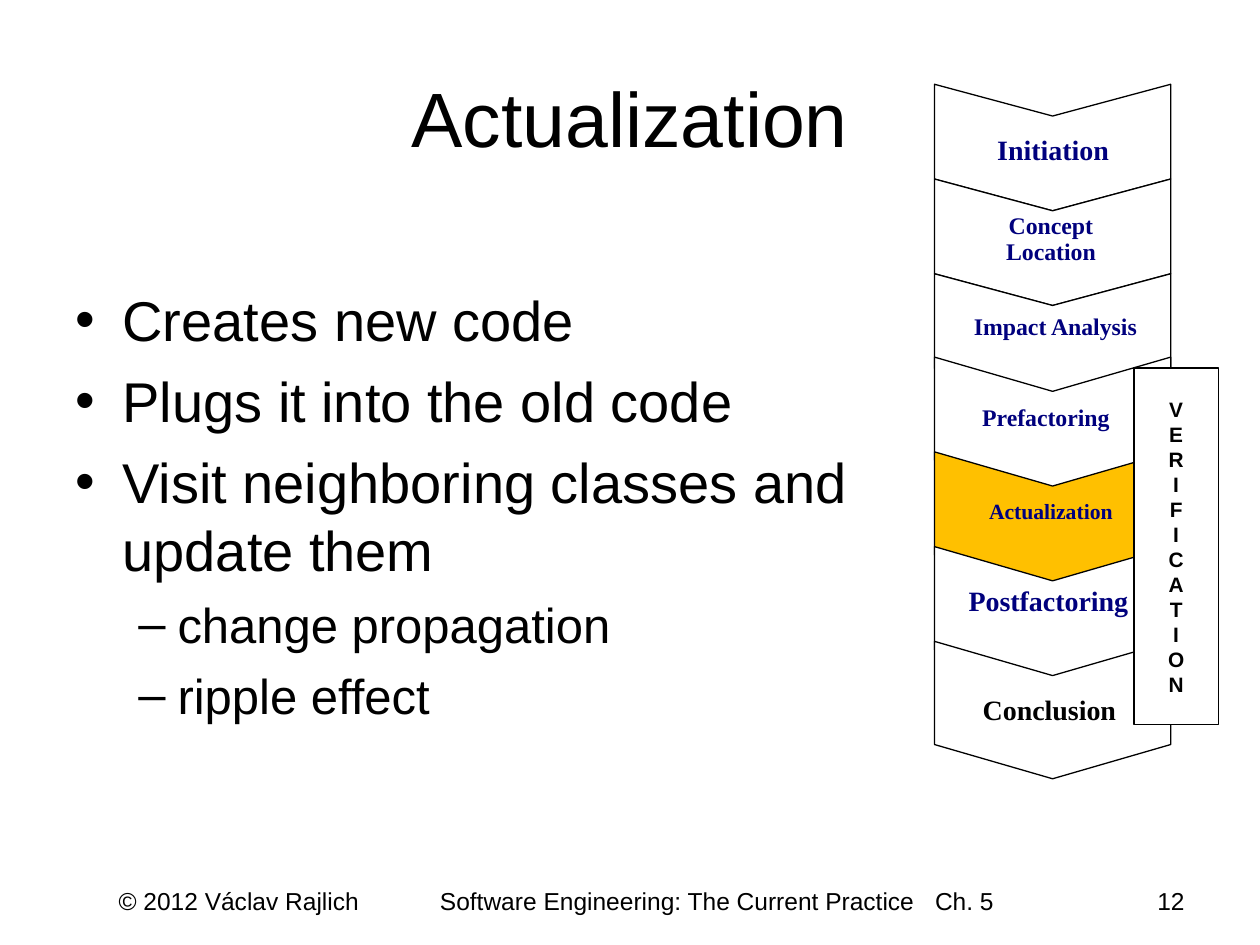
from dataclasses import dataclass

from lxml.etree import SubElement
from pptx import Presentation
from pptx.dml.color import RGBColor
from pptx.enum.shapes import MSO_SHAPE
from pptx.enum.text import MSO_ANCHOR, PP_ALIGN
from pptx.oxml.ns import qn
from pptx.util import Cm, Pt


@dataclass(frozen=True)
class Theme:
    black: RGBColor = RGBColor(0, 0, 0)
    white: RGBColor = RGBColor(255, 255, 255)
    navy: RGBColor = RGBColor(0, 0, 0x7D)
    amber: RGBColor = RGBColor(0xFF, 0xC0, 0)
    sans: str = "Arial"
    serif: str = "Times New Roman"
    title: float = 44
    body: float = 32
    detail: float = 28
    footer: float = 14
    phase_large: float = 16
    phase: float = 13.6
    phase_small: float = 12.4
    verification: float = 11.9
    outline: float = 0.75


theme = Theme()


def add_box(left, top, width, height):
    box = page.shapes.add_textbox(Cm(left), Cm(top), Cm(width), Cm(height))
    box.text_frame.word_wrap = True
    return box


def style(para, size, align=PP_ALIGN.LEFT, color=theme.black, font=theme.sans, bold=False):
    para.alignment = align
    for span in para.runs:
        span.font.size = Pt(size)
        span.font.name = font
        span.font.bold = bold
        span.font.color.rgb = color


deck = Presentation()
deck.slide_width = Cm(25.4)
deck.slide_height = Cm(19.05)
page = deck.slides.add_slide(deck.slide_layouts[6])

title = add_box(1.27, 0.76, 22.86, 3.18)
title.text_frame.vertical_anchor = MSO_ANCHOR.MIDDLE
title.text_frame.text = "Actualization"
style(title.text_frame.paragraphs[0], theme.title, PP_ALIGN.CENTER)

points = [
    ("Creates new code", 0),
    ("Plugs it into the old code", 0),
    ("Visit neighboring classes and update them", 0),
    ("change propagation", 1),
    ("ripple effect", 1),
]
levels = [
    ("•", 0.95, 0.95, 8, theme.body),
    ("–", 2.06, 0.79, 7, theme.detail),
]
body = add_box(1.27, 5.63, 17.78, 10.8)
body.text_frame.text = "\n".join(text for text, level in points)
for index, (para, (text, level)) in enumerate(zip(body.text_frame.paragraphs, points)):
    mark, margin, hanging, gap, size = levels[level]
    properties = para._p.get_or_add_pPr()
    properties.set("marL", str(Cm(margin)))
    properties.set("indent", str(-Cm(hanging)))
    SubElement(properties, qn("a:buFont"), typeface=theme.sans)
    SubElement(properties, qn("a:buChar"), char=mark)
    para.level = level
    para.space_before = Pt(gap if index else 0)
    style(para, size)

footer = add_box(1.27, 17.73, 19.89, 1.32)
footer.text_frame.margin_left = Cm(1.12)
footer.text_frame.text = "© 2012 Václav Rajlich\tSoftware Engineering: The Current Practice\tCh. 5"
credit = footer.text_frame.paragraphs[0]
tabs = SubElement(credit._p.get_or_add_pPr(), qn("a:tabLst"))
for stop in (6.48, 16.46):
    SubElement(tabs, qn("a:tab"), pos=str(Cm(stop)), algn="l")
style(credit, theme.footer)

number = add_box(18.21, 17.73, 5.92, 1.32)
number.text_frame.text = "12"
style(number.text_frame.paragraphs[0], theme.footer, PP_ALIGN.RIGHT)

left, middle, right = 18.84, 21.22, 23.6
pitch = 1.91
chevrons = [(1.7 + pitch * step, 1.91, 0.64, theme.white) for step in range(3)]
chevrons += [
    (7.2 + pitch * step, 2.08, 0.69, theme.amber if step == 1 else theme.white)
    for step in range(4)
]
for top, side, notch, fill in chevrons:
    outline = [
        (right, top), (right, top + side), (middle, top + side + notch),
        (left, top + side), (left, top), (middle, top + notch),
    ]
    corners = [(Cm(x), Cm(y)) for x, y in outline]
    builder = page.shapes.build_freeform(*corners[0])
    builder.add_line_segments(corners[1:], close=True)
    chevron = builder.convert_to_shape()
    chevron.shadow.inherit = False
    chevron.fill.solid()
    chevron.fill.fore_color.rgb = fill
    chevron.line.color.rgb = theme.black
    chevron.line.width = Pt(theme.outline)

phases = [
    ("Initiation", 19.48, 2.54, 3.5, 0.94, theme.phase_large, 1, theme.navy),
    ("Concept Location", 19.23, 4.19, 3.91, 1.47, theme.phase, 0.9, theme.navy),
    ("Impact Analysis", 19.05, 6.22, 4.45, 0.86, theme.phase, 0.9, theme.navy),
    ("Prefactoring", 19.13, 8.05, 3.91, 0.86, theme.phase, 0.9, theme.navy),
    ("Actualization", 19.23, 10.01, 3.91, 0.79, theme.phase_small, 0.8, theme.navy),
    ("Postfactoring", 18.85, 11.63, 4.57, 1.63, theme.phase_large, 1, theme.navy),
    ("Conclusion", 19.2, 13.84, 3.91, 0.94, theme.phase_large, 1, theme.black),
]
for name, x, y, width, height, size, spacing, color in phases:
    label = add_box(x, y, width, height)
    label.text_frame.text = name
    para = label.text_frame.paragraphs[0]
    para.line_spacing = spacing
    style(para, size, PP_ALIGN.CENTER, color, theme.serif, True)

verification = page.shapes.add_shape(
    MSO_SHAPE.RECTANGLE, Cm(22.86), Cm(7.42), Cm(1.7), Cm(7.19)
)
verification.shadow.inherit = False
verification.fill.solid()
verification.fill.fore_color.rgb = theme.white
verification.line.color.rgb = theme.black
verification.line.width = Pt(theme.outline)
verification.text_frame.vertical_anchor = MSO_ANCHOR.MIDDLE
verification.text_frame.text = "\n".join("VERIFICATION")
for para in verification.text_frame.paragraphs:
    para.line_spacing = Pt(14.3)
    style(para, theme.verification, PP_ALIGN.CENTER, bold=True)

deck.save("out.pptx")
